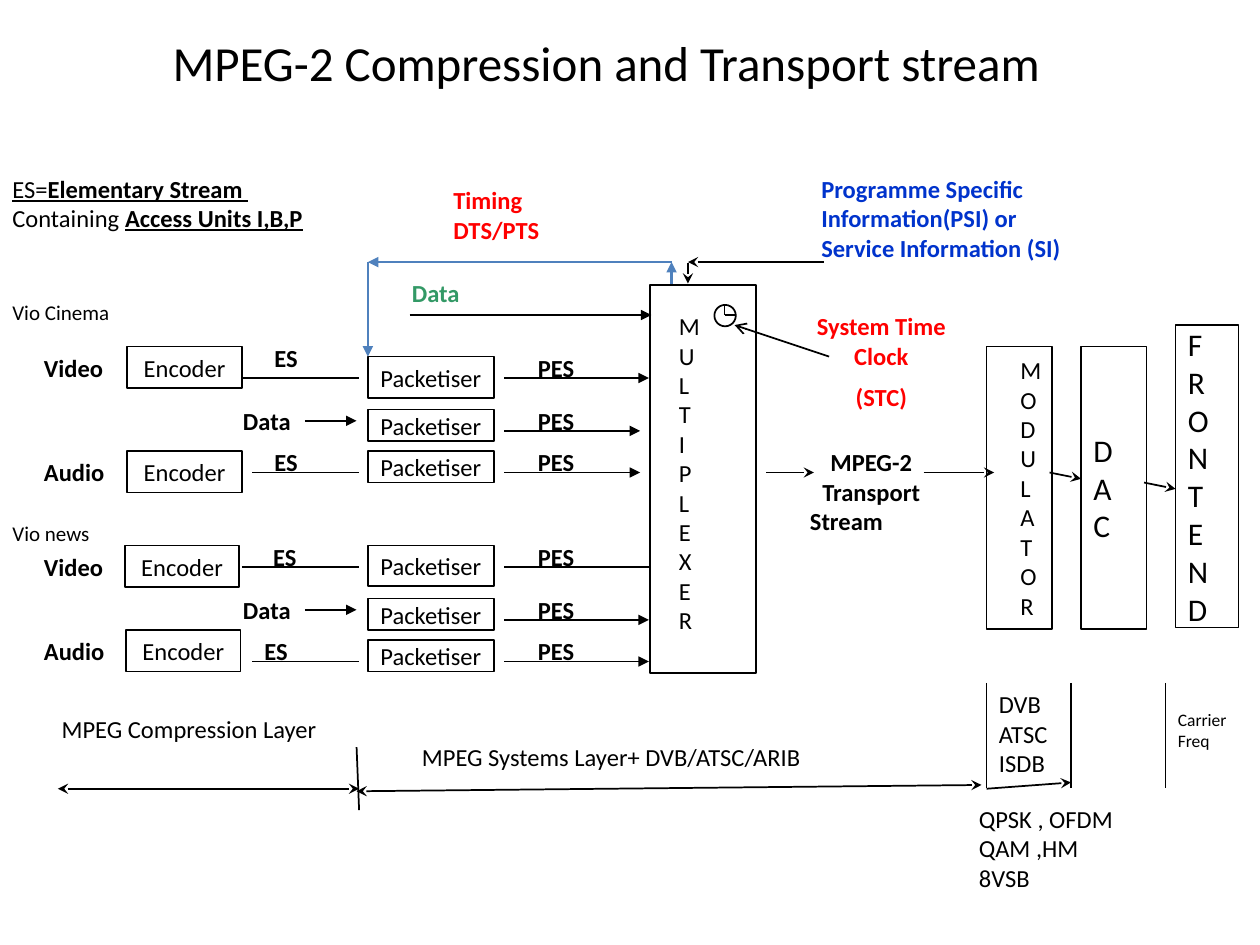
from lxml.etree import SubElement
from pptx import Presentation
from pptx.dml.color import RGBColor
from pptx.enum.shapes import MSO_CONNECTOR as Connector, MSO_SHAPE as Shape
from pptx.enum.text import MSO_ANCHOR as Anchor, PP_ALIGN as Align
from pptx.oxml.ns import qn
from pptx.util import Inches, Pt

BLACK, WHITE, RED, BLUE, GREEN, STEEL = "000000", "FFFFFF", "FF0000", "0033CC", "339966", "4F81BD"
TITLE = "MPEG-2 Compression and Transport stream"

STREAMS = [
    dict(kind="Video", top=2.75, label=2.75, encoder=(1.01, 2.75), es=(2.08, 2.67),
         start=1.92, height=0.33, end=5.15, head="triangle"),
    dict(kind="Data", top=3.17, height=0.25, end=5.08, head="triangle"),
    dict(kind="Audio", top=3.5, label=3.58, encoder=(1.01, 3.58), es=(2.08, 3.5),
         start=2, height=0.25, end=5.08, head="triangle"),
    dict(kind="Video", top=4.25, label=4.33, encoder=(0.99, 4.33), es=(2.07, 4.25),
         start=1.92, height=0.32, end=5.17, head=None),
    dict(kind="Data", top=4.67, height=0.25, end=5.15, head="triangle"),
    dict(kind="Audio", top=5, label=5, encoder=(1, 5), es=(2, 5),
         start=2, height=0.25, end=5.15, head="triangle"),
]

STAGES = [
    ((5.16, 2.26, 0.84, 3.08), "", 14),
    ((7.83, 2.75, 0.52, 2.24), "", 14),
    ((8.58, 2.75, 0.52, 2.24), "DAC", 18),
    ((9.33, 2.58, 0.5, 2.4), "FRONTEND", 18),
]

LETTERS = [((5.29, 2.42, 0.34, 2.66), "MULTIPLEXER"), ((8, 2.77, 0.25, 2.22), "MODULATOR")]

NOTES = [
    ((6.33, 3.5, 1.17, 1.04), ["MPEG-2 Transport", "Stream\t"], dict(bold=True, align=Align.CENTER)),
    ((0.39, 5.62, 2.38, 0.33), ["MPEG Compression Layer"], {}),
    ((3.25, 5.84, 3.52, 0.33), ["MPEG Systems Layer+ DVB/ATSC/ARIB"], {}),
    ((6.42, 1.33, 2.17, 1.26),
     ["Programme Specific Information(PSI) or", "Service Information (SI)"], dict(bold=True, color=BLUE)),
    ((7.83, 5.42, 1.25, 0.8), ["DVB", "ATSC", "ISDB"], {}),
    ((7.67, 6.33, 1.49, 0.81), ["QPSK , OFDM", "QAM ,HM", "8VSB"], {}),
    ((3.17, 2.16, 0.92, 0.33), ["Data"], dict(bold=True, color=GREEN)),
    ((3.5, 1.42, 1.17, 0.57), ["Timing DTS/PTS"], dict(bold=True, color=RED)),
    ((6.33, 2.42, 1.33, 0.93), ["System Time Clock", "(STC)"],
     dict(bold=True, color=RED, align=Align.CENTER, gap=7)),
    ((0, 2.33, 1.33, 0.3), ["Vio Cinema"], dict(size=12)),
    ((0, 4.08, 1.08, 0.3), ["Vio news"], dict(size=12)),
    ((9.25, 5.58, 0.75, 0.44), ["Carrier Freq"], dict(size=10)),
    ((0, 1.33, 3, 0.57),
     [[("ES=", False, True), ("Elementary Stream", True, True), (" ", False, True)],
      [("Containing ", False, False), ("Access Units I,B,P", True, True)]], {}),
]

LINES = [
    ((6.08, 3.75), (6.46, 3.75), dict(tail="stealth")),
    ((7.33, 3.75), (7.89, 3.75), dict(tail="stealth")),
    ((8.33, 3.75), (8.58, 3.8), dict(tail="stealth")),
    ((9.08, 3.83), (9.33, 3.88), dict(tail="stealth")),
    ((2.83, 5.93), (2.85, 6.43), {}),
    ((0.46, 6.26), (2.85, 6.26), dict(head="stealth", tail="stealth")),
    ((2.83, 6.28), (7.79, 6.23), dict(head="stealth", tail="stealth")),
    ((7.83, 6.26), (8.5, 6.21), dict(tail="stealth")),
    ((5.46, 2.25), (5.46, 2.09), dict(head="stealth")),
    ((5.46, 2.08), (6.54, 2.08), dict(head="stealth")),
    ((3.25, 2.5), (5.17, 2.5), dict(tail="triangle")),
    ((5.83, 2.58), (6.58, 2.83), dict(head="arrow")),
    ((5.75, 2.5), (5.83, 2.5), {}),
    ((5.75, 2.5), (5.75, 2.42), {}),
]
LINES += [((x, 5.42), (x, 6.25), {}) for x in (7.83, 8.5, 9.25)]

TIMING_LOOP = [(5.33, 2.25), (5.33, 2.08), (2.92, 2.08), (2.92, 2.83)]

deck = Presentation()
deck.slide_width, deck.slide_height = Inches(10), Inches(7.5)
page = deck.slides.add_slide(deck.slide_layouts[6])


def paint(color):
    return RGBColor.from_string(color)


def write(box, lines, size=14, color=BLACK, bold=False, align=Align.LEFT,
          anchor=Anchor.TOP, wrap=True, gap=0, spacing=None):
    frame = box.text_frame
    frame.word_wrap = wrap
    frame.vertical_anchor = anchor
    for index, line in enumerate(lines):
        para = frame.add_paragraph() if index else frame.paragraphs[0]
        para.alignment = align
        para.line_spacing = spacing
        if index and gap:
            para.space_before = Pt(gap)
        spans = [(line, bold, False)] if isinstance(line, str) else line
        for text, heavy, underline in spans:
            span = para.add_run()
            span.text = text
            font = span.font
            font.name, font.size, font.bold, font.underline = "Calibri", Pt(size), heavy, underline
            font.color.rgb = paint(color)


def add_label(place, lines, **style):
    write(page.shapes.add_textbox(*map(Inches, place)), lines, **style)


def add_box(place, lines=(), kind=Shape.RECTANGLE, fill=WHITE, **style):
    box = page.shapes.add_shape(kind, *map(Inches, place))
    box.shadow.inherit = False
    if fill:
        box.fill.solid()
        box.fill.fore_color.rgb = paint(fill)
    else:
        box.fill.background()
    box.line.color.rgb = paint(BLACK)
    box.line.width = Pt(1)
    write(box, lines, anchor=Anchor.MIDDLE, wrap=False, **style)


def add_line(start, end, color=BLACK, width=1, head=None, tail=None):
    line = page.shapes.add_connector(Connector.STRAIGHT, *map(Inches, start + end))
    line.line.color.rgb = paint(color)
    line.line.width = Pt(width)
    properties = line.line._get_or_add_ln()
    for tag, arrow in (("a:headEnd", head), ("a:tailEnd", tail)):
        if arrow:
            SubElement(properties, qn(tag), type=arrow)
    SubElement(line._element.spPr, qn("a:effectLst"))


add_label((0, 0, 9.62, 0.78), [TITLE], size=28, align=Align.CENTER, anchor=Anchor.BOTTOM, spacing=0.89)

for place, word, size in STAGES:
    add_box(place, list(word), size=size)
for place, word in LETTERS:
    add_label(place, list(word))
add_box((5.67, 2.42, 0.17, 0.17), kind=Shape.OVAL, fill=None)

for stream in STREAMS:
    top = stream["top"]
    flow = top + 0.25
    if "encoder" in stream:
        add_label((0.25, stream["label"], 0.69, 0.33), [stream["kind"]], bold=True, wrap=False)
        add_box((*stream["encoder"], 0.91, 0.33), ["Encoder"], align=Align.CENTER)
        add_label((*stream["es"], 0.43, 0.33), ["ES"], bold=True, wrap=False)
        add_line((stream["start"], flow), (2.85, flow))
    else:
        add_label((1.83, top, 0.75, 0.33), [stream["kind"]], bold=True)
        add_line((2.42, top + 0.17), (2.83, top + 0.17), tail="triangle")
    add_box((2.92, top + 0.08, 1, stream["height"]), ["Packetiser"], align=Align.CENTER)
    add_label((4.17, top, 0.55, 0.33), ["PES"], bold=True, wrap=False)
    add_line((4, flow), (stream["end"], flow), tail=stream["head"])

for place, lines, style in NOTES:
    add_label(place, lines, **style)
for start, end, style in LINES:
    add_line(start, end, **style)
for start, end in zip(TIMING_LOOP, TIMING_LOOP[1:]):
    add_line(start, end, color=STEEL, width=1.5, tail="triangle")

deck.save("out.pptx")
